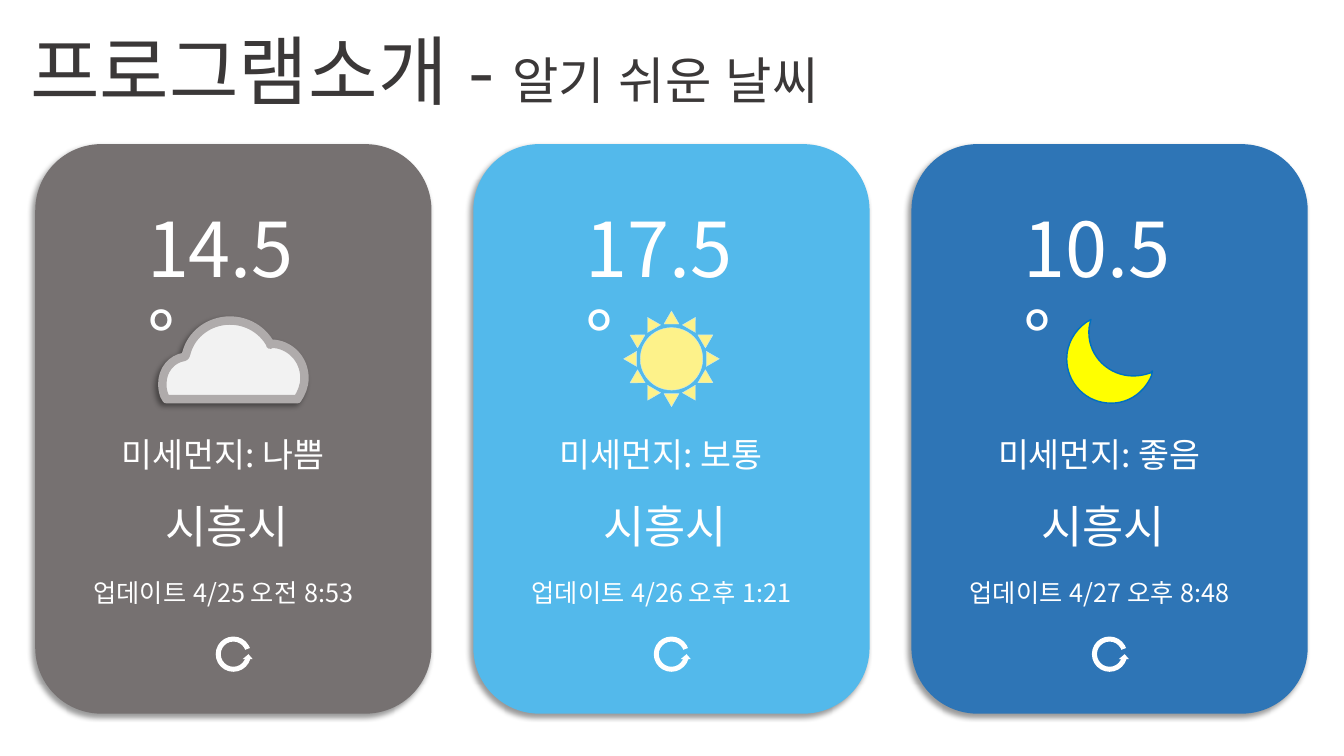
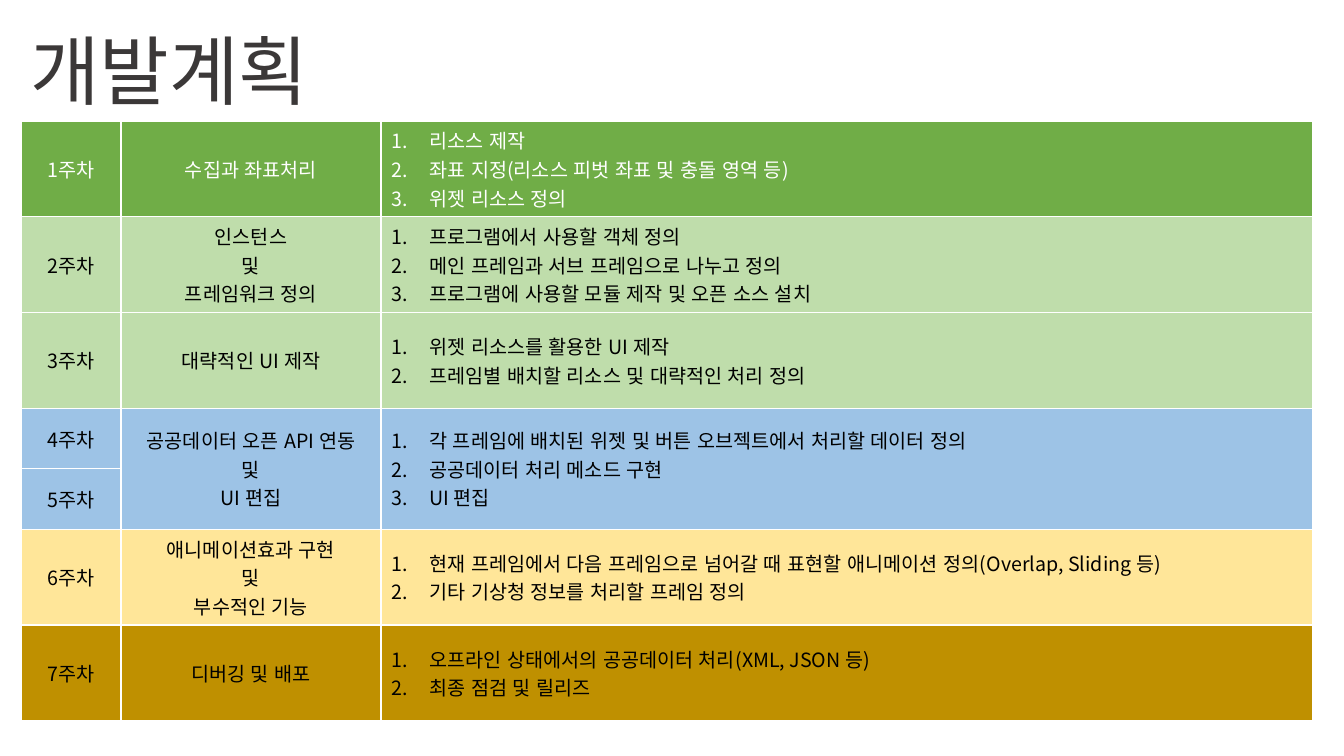
from dataclasses import dataclass
from math import cos, radians, sin

from lxml.etree import SubElement
from pptx import Presentation
from pptx.dml.color import RGBColor
from pptx.enum.lang import MSO_LANGUAGE_ID as Language
from pptx.enum.shapes import MSO_SHAPE as Preset
from pptx.enum.text import MSO_ANCHOR as Anchor, MSO_AUTO_SIZE as AutoSize, PP_ALIGN as Align
from pptx.oxml.ns import qn
from pptx.util import Inches, Pt


@dataclass(frozen=True)
class Theme:
    """Font, type sizes and colours shared by the slides."""
    font: str = "Noto Sans CJK KR"
    title_size: int = 54
    subtitle_size: int = 36
    city_size: int = 32
    dust_size: int = 24
    update_size: int = 18
    table_size: int = 14
    title: str = "3B3838"
    white: str = "FFFFFF"
    black: str = "000000"
    cloudy: str = "767171"
    sunny: str = "53B9EB"
    night: str = "2E75B6"
    cloud: str = "F2F2F2"
    cloud_edge: str = "AFABAB"
    sun: str = "FDF28A"
    sun_edge: str = "C4E7F8"
    moon: str = "FFFF00"
    moon_edge: str = "0070C0"
    green: str = "70AD47"
    light_green: str = "BFDDAB"
    blue: str = "9DC3E6"
    yellow: str = "FFE699"
    gold: str = "BF9000"


THEME = Theme()
SLIDE_WIDTH, SLIDE_HEIGHT = 13.33, 7.5
LEFT_MARGIN, RIGHT_MARGIN = 0.35, 0.36
CARD_COUNT, CARD_TOP, CARD_WIDTH, CARD_HEIGHT = 3, 1.43, 3.93, 5.65
CARD_STEP = (SLIDE_WIDTH - LEFT_MARGIN - RIGHT_MARGIN - CARD_WIDTH) / (CARD_COUNT - 1)

# Outlines relative to the card corner: a pair is a line, six numbers are a curve.
CLOUD = [(1.93, 1.75), (2.1, 1.75, 2.25, 1.84, 2.33, 1.98), (2.33, 1.99), (2.34, 1.98),
         (2.52, 1.98, 2.67, 2.13, 2.67, 2.32), (2.67, 2.4, 2.64, 2.47, 2.6, 2.53),
         (2.59, 2.53), (1.31, 2.53), (1.3, 2.53), (1.27, 2.49, 1.26, 2.43, 1.26, 2.38),
         (1.26, 2.24, 1.35, 2.13, 1.48, 2.11), (1.49, 2.1), (1.5, 2.07),
         (1.55, 1.88, 1.73, 1.75, 1.93, 1.75)]
MOON = [(1.78, 1.74), (1.77, 1.78), (1.76, 1.81, 1.76, 1.84, 1.76, 1.87),
        (1.76, 2.11, 1.96, 2.3, 2.2, 2.3), (2.26, 2.3, 2.31, 2.29, 2.37, 2.27),
        (2.39, 2.25), (2.38, 2.3), (2.31, 2.46, 2.16, 2.57, 1.98, 2.57),
        (1.73, 2.57, 1.54, 2.37, 1.54, 2.13), (1.54, 1.98, 1.62, 1.85, 1.73, 1.77)]

COLUMN_WIDTHS = [0.99, 2.58, 9.24]
ROW_HEIGHTS = [0.95, 0.95, 0.95, 0.6, 0.6, 0.95, 0.95]
PLAN = [
    ("1주차", ["수집과 좌표처리"],
     ["리소스 제작", "좌표 지정(리소스 피벗 좌표 및 충돌 영역 등)", "위젯 리소스 정의"], THEME.green),
    ("2주차", ["인스턴스", "및", "프레임워크 정의"],
     ["프로그램에서 사용할 객체 정의", "메인 프레임과 서브 프레임으로 나누고 정의",
      "프로그램에 사용할 모듈 제작 및 오픈 소스 설치"], THEME.light_green),
    ("3주차", ["대략적인 UI 제작"],
     ["위젯 리소스를 활용한 UI 제작", "프레임별 배치할 리소스 및 대략적인 처리 정의"],
     THEME.light_green),
    ("4주차", ["공공데이터 오픈 API 연동", "및", "UI 편집"],
     ["각 프레임에 배치된 위젯 및 버튼 오브젝트에서 처리할 데이터 정의",
      "공공데이터 처리 메소드 구현", "UI 편집"], THEME.blue),
    ("5주차", None, None, THEME.blue),
    ("6주차", ["애니메이션효과 구현", "및", "부수적인 기능"],
     ["현재 프레임에서 다음 프레임으로 넘어갈 때 표현할 애니메이션 정의(Overlap, Sliding 등)",
      "기타 기상청 정보를 처리할 프레임 정의"], THEME.yellow),
    ("7주차", ["디버깅 및 배포"],
     ["오프라인 상태에서의 공공데이터 처리(XML, JSON 등)", "최종 점검 및 릴리즈"], THEME.gold),
]


def box(left, top, width, height):
    """Convert a rectangle in inches to slide lengths."""
    return [Inches(length) for length in (left, top, width, height)]


def add_run(paragraph, text, size, color):
    """Add a run in the theme font, for Latin and Korean alike."""
    run = paragraph.add_run()
    run.text = text
    run.font.size, run.font.bold, run.font.name = Pt(size), False, THEME.font
    run.font.language_id = Language.KOREAN
    run.font.color.rgb = RGBColor.from_string(color)
    SubElement(run.font._element, qn("a:ea"), typeface=THEME.font)


def number(paragraph):
    """Give a paragraph an automatic number and a hanging indent."""
    properties = paragraph._p.get_or_add_pPr()
    indent = Inches(0.38)
    properties.set("marL", str(indent))
    properties.set("indent", str(-indent))
    SubElement(properties, qn("a:buFont"), typeface="+mj-lt")
    SubElement(properties, qn("a:buAutoNum"), type="arabicPeriod")


def fit_to_text(frame):
    """Keep text on its own lines in a frame that grows with it."""
    frame.word_wrap, frame.auto_size = False, AutoSize.SHAPE_TO_FIT_TEXT
    frame.vertical_anchor = Anchor.TOP


def add_title(slide, runs, width):
    """Place the title and fill it with (text, size) runs."""
    title = slide.shapes.title
    title.left, title.top, title.width, title.height = box(0.2, 0.19, width, 1.01)
    fit_to_text(title.text_frame)
    paragraph = title.text_frame.paragraphs[0]
    paragraph.alignment = Align.LEFT
    for text, size in runs:
        add_run(paragraph, text, size, THEME.title)


def paint(shape, fill, line=None, line_width=0, shadow=False):
    """Set fill, outline and the optional soft shadow of a shape."""
    shape.fill.solid()
    shape.fill.fore_color.rgb = RGBColor.from_string(fill)
    if line:
        shape.line.color.rgb = RGBColor.from_string(line)
        shape.line.width = Pt(line_width)
    else:
        shape.line.fill.background()
    shape.shadow.inherit = False
    if shadow:
        effects = shape._element.spPr.find(qn("a:effectLst"))
        outer = SubElement(effects, qn("a:outerShdw"), blurRad=str(Pt(4)), dist=str(Pt(3)),
                           dir="8100000", algn="tr", rotWithShape="0")
        color = SubElement(outer, qn("a:srgbClr"), val=THEME.black)
        SubElement(color, qn("a:alpha"), val="40000")


def add_preset(shapes, preset, bounds, fill, **style):
    """Add a painted preset shape."""
    shape = shapes.add_shape(preset, *box(*bounds))
    paint(shape, fill, **style)
    return shape


def add_outline(shapes, left, segments, fill, **style):
    """Add a closed outline of lines and cubic curves to a card."""
    points = [(Inches(left + x), Inches(CARD_TOP + y)) for segment in segments
              for x, y in zip(segment[::2], segment[1::2])]
    builder = shapes.build_freeform(*points[0], scale=1.0)
    builder.add_line_segments(points[1:], close=True)
    shape = builder.convert_to_shape()
    strokes = iter(list(shape._element.iter(qn("a:lnTo"))))
    for segment in segments[1:]:
        stroke = next(strokes)
        if len(segment) == 6:
            stroke.tag = qn("a:cubicBezTo")
            for follower in (next(strokes), next(strokes)):
                stroke.append(follower[0])
                follower.getparent().remove(follower)
    paint(shape, fill, **style)


def add_cloud(shapes, left):
    """Draw a cloud on the card."""
    add_outline(shapes, left, CLOUD, THEME.cloud,
                line=THEME.cloud_edge, line_width=6, shadow=True)


def add_moon(shapes, left):
    """Draw a crescent moon on the card."""
    add_outline(shapes, left, MOON, THEME.moon, line=THEME.moon_edge, line_width=1)


def add_sun(shapes, left):
    """Draw a disc with twelve rays around it."""
    center_x, center_y = left + CARD_WIDTH / 2, CARD_TOP + 2.13
    diameter, orbit, ray_width, ray_height = 0.62, 0.41, 0.15, 0.13
    style = dict(line=THEME.sun_edge, line_width=0.25)
    add_preset(shapes, Preset.OVAL, (center_x - diameter / 2, center_y - diameter / 2,
                                     diameter, diameter), THEME.sun, **style)
    for angle in range(0, 360, 30):
        x = center_x + orbit * sin(radians(angle)) - ray_width / 2
        y = center_y - orbit * cos(radians(angle)) - ray_height / 2
        ray = add_preset(shapes, Preset.ISOSCELES_TRIANGLE, (x, y, ray_width, ray_height),
                         THEME.sun, **style)
        ray.rotation = angle


def add_label(shapes, left, text, top, width, height, size):
    """Add a white text box centred across the card."""
    label = shapes.add_textbox(*box(left + (CARD_WIDTH - width) / 2, CARD_TOP + top,
                                    width, height))
    fit_to_text(label.text_frame)
    add_run(label.text_frame.paragraphs[0], text, size, THEME.white)


def add_refresh(shapes, left):
    """Draw the circular refresh arrow at the foot of the card."""
    size = 0.4
    arrow = add_preset(shapes, Preset.CIRCULAR_ARROW,
                       (left + (CARD_WIDTH - size) / 2, CARD_TOP + 4.86, size, size),
                       THEME.white)
    for index, value in enumerate((0.125, 11.423, 204.577, 12.185, 0.125)):
        arrow.adjustments[index] = value
    arrow._element.spPr.xfrm.set("flipV", "1")


def add_weather_card(slide, column, color, add_icon, temperature, dust, update):
    """Add one grouped weather card in a column of the grid."""
    shapes = slide.shapes.add_group_shape().shapes
    left = LEFT_MARGIN + column * CARD_STEP
    add_preset(shapes, Preset.ROUNDED_RECTANGLE, (left, CARD_TOP, CARD_WIDTH, CARD_HEIGHT),
               color, shadow=True)
    add_label(shapes, left, temperature, 0.52, 1.91, 1.01, THEME.title_size)
    add_label(shapes, left, f"미세먼지: {dust}", 2.83, 2.41, 0.5, THEME.dust_size)
    add_label(shapes, left, "시흥시", 3.47, 1.55, 0.64, THEME.city_size)
    add_label(shapes, left, f"업데이트 {update}", 4.25, 2.97, 0.4, THEME.update_size)
    add_icon(shapes, left)
    add_refresh(shapes, left)


def fill_cell(cell, lines, color, numbered=False):
    """Write lines as centred or numbered paragraphs."""
    frame = cell.text_frame
    for index, text in enumerate(lines):
        paragraph = frame.add_paragraph() if index else frame.paragraphs[0]
        if numbered:
            number(paragraph)
        else:
            paragraph.alignment = Align.CENTER
        add_run(paragraph, text, THEME.table_size, color)


def add_plan_table(slide):
    """Add the weekly plan; a week without a task continues the one above."""
    table = slide.shapes.add_table(len(PLAN), len(COLUMN_WIDTHS), *box(
        0.21, 1.2, sum(COLUMN_WIDTHS), sum(ROW_HEIGHTS))).table
    for column, width in zip(table.columns, COLUMN_WIDTHS):
        column.width = Inches(width)
    for index, (week, task, steps, fill) in enumerate(PLAN):
        table.rows[index].height = Inches(ROW_HEIGHTS[index])
        cells = [table.cell(index, column) for column in range(len(COLUMN_WIDTHS))]
        color = THEME.black if index else THEME.white
        for cell in cells:
            cell.vertical_anchor = Anchor.MIDDLE
            cell.fill.solid()
            cell.fill.fore_color.rgb = RGBColor.from_string(fill)
        fill_cell(cells[0], [week], color)
        if task:
            fill_cell(cells[1], task, color)
            fill_cell(cells[2], steps, color, numbered=True)
        else:
            for column in (1, 2):
                table.cell(index - 1, column).merge(cells[column])


def main():
    """Build both slides and save the presentation."""
    presentation = Presentation()
    presentation.slide_width = Inches(SLIDE_WIDTH)
    presentation.slide_height = Inches(SLIDE_HEIGHT)
    title_only = presentation.slide_layouts[5]

    weather = presentation.slides.add_slide(title_only)
    add_title(weather, [("프로그램소개 - ", THEME.title_size),
                        ("알기 쉬운 날씨", THEME.subtitle_size)], 9.15)
    cards = [(THEME.cloudy, add_cloud, "14.5°", "나쁨", "4/25 오전 8:53"),
             (THEME.sunny, add_sun, "17.5°", "보통", "4/26 오후 1:21"),
             (THEME.night, add_moon, "10.5°", "좋음", "4/27 오후 8:48")]
    for column, card in enumerate(cards):
        add_weather_card(weather, column, *card)

    plan = presentation.slides.add_slide(title_only)
    add_title(plan, [("개발계획", THEME.title_size)], 3.23)
    add_plan_table(plan)
    presentation.save("out.pptx")


main()
